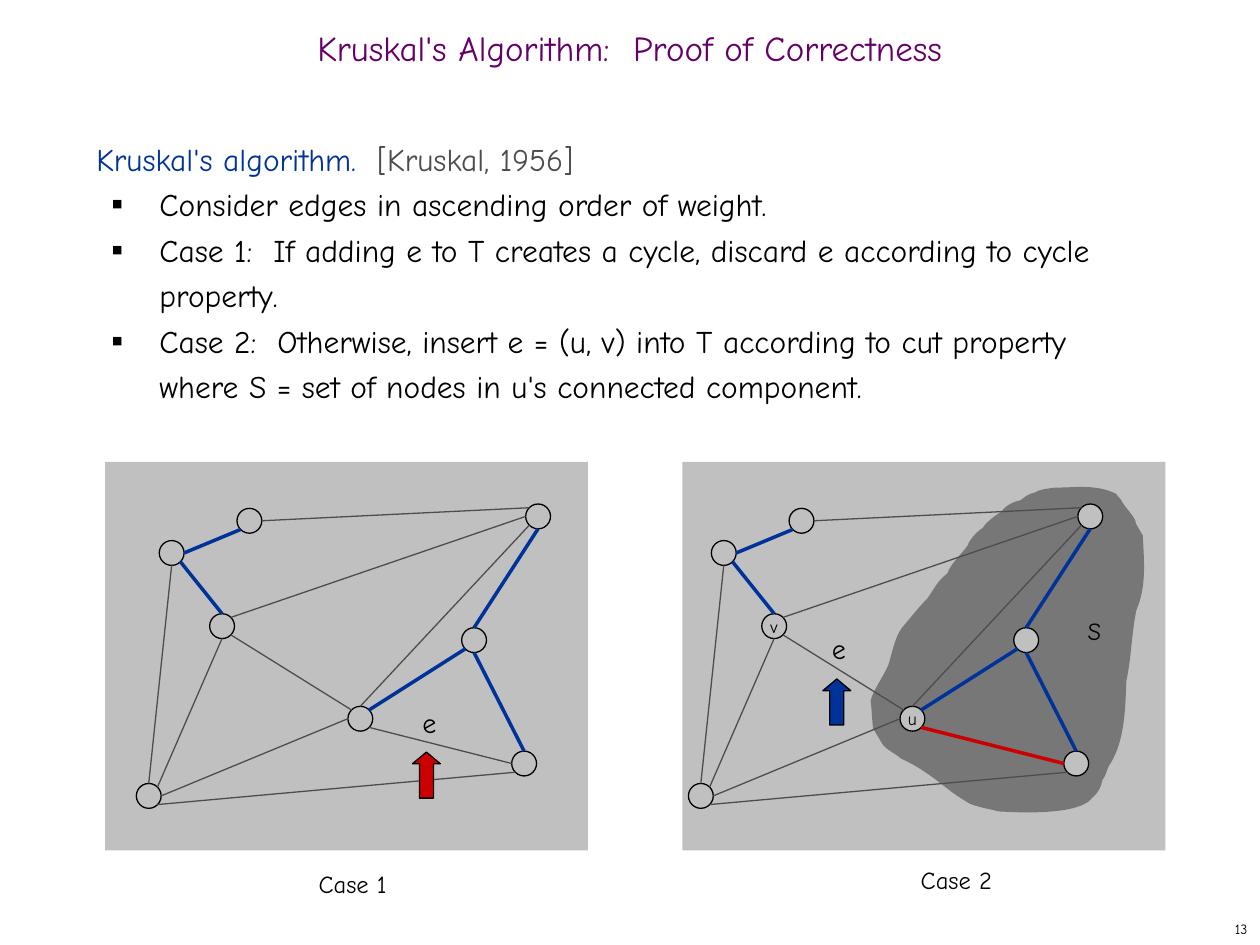
from typing import NamedTuple

from lxml.etree import SubElement
from pptx import Presentation
from pptx.dml.color import RGBColor
from pptx.enum.shapes import MSO_CONNECTOR, MSO_SHAPE
from pptx.enum.text import MSO_ANCHOR, PP_ALIGN
from pptx.oxml.ns import qn
from pptx.util import Pt

FONT = "Comic Neue"
BLACK = RGBColor(0x00, 0x00, 0x00)
BLUE = RGBColor(0x00, 0x33, 0x99)
RED = RGBColor(0xCC, 0x00, 0x00)
GREY = RGBColor(0x4D, 0x4D, 0x4D)
PALE = RGBColor(0xC0, 0xC0, 0xC0)
DARK = RGBColor(0x77, 0x77, 0x77)
PURPLE = RGBColor(0x66, 0x00, 0x66)

SIZE = 14.2  # node diameter
SHIFT = 315.5  # from the graph of case 1 to that of case 2
STEP = {"N": (0, -1), "S": (0, 1), "W": (-1, 0), "E": (1, 0),
        "NW": (-0.7, -0.7), "NE": (0.7, -0.7),
        "SW": (-0.7, 0.7), "SE": (0.7, 0.7)}


class Edge(NamedTuple):
    """Two nodes, each with the side of its circle that the edge meets."""
    start: str
    out: str
    end: str
    into: str
    tree: bool = False


class Label(NamedTuple):
    text: str
    left: float
    top: float
    size: float


class Case(NamedTuple):
    panel: float
    shift: float
    mark: RGBColor  # colour of the arrow that points at e
    arrow: tuple[float, float]
    title: Label
    labels: list[Label]
    names: dict[str, str]
    cut: RGBColor  # colour of the edge from u to the low right node


NODES = {"left": (98.1, 316), "top": (142.5, 297.6), "v": (126.9, 357.8),
         "low": (85, 454.8), "right": (307.5, 295.1), "mid": (270.9, 365.8),
         "u": (205.9, 410.7), "end": (299.5, 436.3)}

EDGES = [
    Edge("left", "E", "top", "SW", True),
    Edge("left", "SE", "v", "N", True),
    Edge("left", "S", "low", "N"),
    Edge("v", "NE", "right", "W"),
    Edge("mid", "N", "right", "S", True),
    Edge("v", "SE", "u", "NW"),
    Edge("u", "SE", "end", "W"),
    Edge("u", "NE", "mid", "SW", True),
    Edge("mid", "S", "end", "N", True),
    Edge("right", "SW", "u", "N"),
    Edge("v", "S", "low", "NE"),
    Edge("low", "E", "u", "W"),
    Edge("top", "E", "right", "NW"),
    Edge("low", "SE", "end", "SW"),
]

CASES = [
    Case(60, 0, RED, (235.7, 429.8), Label("Case 1", 136, 491.8, 14),
         [Label("e", 234.3, 399.6, 16)], {}, GREY),
    Case(390, SHIFT, BLUE, (470.2, 388), Label("Case 2", 481, 489.6, 14),
         [Label("e", 468.3, 357.5, 16), Label("S", 614.4, 348.5, 14)],
         {"u": "u", "v": "v"}, RED),
]

# Outline of S in units of 0.72 points: a start, then three points a curve
UNIT = Pt(0.72)
START = (705, 528)
CURVES = [
    (708, 519), (710, 506), (716, 498), (723, 490), (729, 482), (736, 475),
    (741, 468), (744, 461), (752, 455), (754, 448), (763, 440), (768, 433),
    (769, 429), (775, 422), (780, 419), (783, 414), (790, 409), (795, 406),
    (798, 401), (805, 398), (810, 397), (814, 394), (816, 392), (821, 391),
    (826, 388), (831, 388), (837, 387), (854, 387), (870, 384), (886, 392),
    (892, 402), (882, 387), (890, 397), (890, 397), (890, 398), (891, 399),
    (894, 404), (898, 407), (901, 413), (901, 415), (902, 417), (903, 418),
    (904, 420), (907, 425), (907, 425), (908, 446), (910, 465), (902, 484),
    (898, 502), (898, 522), (894, 540), (893, 562), (893, 589), (880, 608),
    (878, 612), (878, 615), (875, 619), (874, 624), (872, 629), (867, 633),
    (856, 649), (796, 644), (793, 644), (785, 642), (778, 641), (770, 638),
    (765, 635), (760, 632), (756, 629), (743, 619), (731, 609), (715, 602),
    (711, 598), (703, 595), (700, 590), (698, 586), (695, 582), (693, 578),
    (692, 571), (692, 564), (691, 556), (693, 548), (701, 537), START]

POINTS = [
    "Consider edges in ascending order of weight.",
    "Case 1:  If adding e to T creates a cycle, discard e according to "
    "cycle property.",
    "Case 2:  Otherwise, insert e = (u, v) into T according to cut property "
    "where S = set of nodes in u's connected component.",
]


def write(para, text: str, size: float, color: RGBColor = BLACK) -> None:
    run = para.add_run()
    run.text = text
    run.font.name, run.font.size = FONT, Pt(size)
    run.font.color.rgb = color


def paint(shape, fill: RGBColor, edged: bool = True) -> None:
    shape.shadow.inherit = False
    shape.fill.solid()
    shape.fill.fore_color.rgb = fill
    if edged:
        shape.line.color.rgb, shape.line.width = BLACK, Pt(0.75)
    else:
        shape.line.fill.background()


def add_shape(slide, kind, left, top, width, height, fill, edged=True):
    shape = slide.shapes.add_shape(kind, Pt(left), Pt(top), Pt(width), Pt(height))
    paint(shape, fill, edged)
    return shape


def add_label(slide, label: Label, width: float, height: float,
              align=PP_ALIGN.LEFT, anchor=MSO_ANCHOR.TOP) -> None:
    box = slide.shapes.add_textbox(Pt(label.left), Pt(label.top), Pt(width), Pt(height))
    frame = box.text_frame
    frame.word_wrap, frame.vertical_anchor = False, anchor
    frame.paragraphs[0].alignment = align
    write(frame.paragraphs[0], label.text, label.size)


def add_line(slide, start, end, color: RGBColor, width: float) -> None:
    line = slide.shapes.add_connector(
        MSO_CONNECTOR.STRAIGHT, *(Pt(n) for n in (*start, *end)))
    line.line.color.rgb, line.line.width = color, Pt(width)
    SubElement(line._element.spPr, qn("a:effectLst"))


def rim(node: str, side: str, shift: float) -> tuple[float, float]:
    """Give the point on one side of a node's circle."""
    (x, y), (dx, dy) = NODES[node], STEP[side]
    return x + shift + dx * SIZE / 2, y + dy * SIZE / 2


def add_blob(slide) -> None:
    """Draw S: lines through all points, then each three made one curve."""
    pen = slide.shapes.build_freeform(*START, scale=UNIT)
    pen.add_line_segments(CURVES, close=True)
    blob = pen.convert_to_shape()
    lines = list(blob._element.iter(qn("a:lnTo")))
    for i in range(0, len(CURVES), 3):
        curve = lines[i]
        curve.tag = qn("a:cubicBezTo")
        for line in lines[i + 1:i + 3]:
            curve.append(line[0])
            line.getparent().remove(line)
    paint(blob, DARK, False)


def add_graph(slide, case: Case) -> None:
    for key, (x, y) in NODES.items():
        node = add_shape(slide, MSO_SHAPE.OVAL, x + case.shift - SIZE / 2,
                         y - SIZE / 2, SIZE, SIZE, PALE)
        if key in case.names:
            frame = node.text_frame
            frame.word_wrap, frame.vertical_anchor = False, MSO_ANCHOR.MIDDLE
            frame.paragraphs[0].alignment = PP_ALIGN.CENTER
            write(frame.paragraphs[0], case.names[key], 10)
    for edge in EDGES:
        color = BLUE if edge.tree else GREY
        if (edge.start, edge.end) == ("u", "end"):
            color = case.cut
        add_line(slide, rim(edge.start, edge.out, case.shift),
                 rim(edge.end, edge.into, case.shift), color,
                 0.75 if color == GREY else 2)
    arrow = add_shape(slide, MSO_SHAPE.UP_ARROW, *case.arrow, 16, 26.3, case.mark)
    arrow.adjustments[1] = 0.42
    add_label(slide, case.title, 131, 26, PP_ALIGN.CENTER, MSO_ANCHOR.MIDDLE)
    for label in case.labels:
        add_label(slide, label, 22.3, 26.6)


def indent(para, left: float, hang: float) -> None:
    para.line_spacing = Pt(26)
    props = para._p.get_or_add_pPr()
    props.set("marL", str(Pt(left)))
    props.set("indent", str(Pt(-hang)))


def add_body(slide) -> None:
    frame = slide.shapes.add_textbox(Pt(48), Pt(72), Pt(618), Pt(426)).text_frame
    frame.word_wrap = True
    head = frame.paragraphs[0]
    indent(head, 27, 27)
    write(head, "Kruskal's algorithm.  ", 18, BLUE)
    write(head, "[Kruskal, 1956]", 18, GREY)
    for text in POINTS:
        para = frame.add_paragraph()
        para.level = 1
        indent(para, 36, 27)
        props = para._p.get_or_add_pPr()
        tint = SubElement(props, qn("a:buClr"))
        SubElement(tint, qn("a:srgbClr"), val=str(BLACK))
        SubElement(props, qn("a:buSzPct"), val="35000")
        SubElement(props, qn("a:buFont"), typeface=FONT)
        SubElement(props, qn("a:buChar"), char="■")
        write(para, text, 18)


def main() -> None:
    deck = Presentation()
    deck.slide_width, deck.slide_height = Pt(720), Pt(540)
    slide = deck.slides.add_slide(deck.slide_layouts[5])
    title = slide.shapes.title
    title.left, title.top, title.width, title.height = Pt(0), Pt(12), Pt(720), Pt(36)
    title.text_frame.vertical_anchor = MSO_ANCHOR.MIDDLE
    para = title.text_frame.paragraphs[0]
    para.alignment, para.line_spacing = PP_ALIGN.CENTER, 0.7
    write(para, "Kruskal's Algorithm:  Proof of Correctness", 20, PURPLE)
    for case in CASES:
        add_shape(slide, MSO_SHAPE.RECTANGLE, case.panel, 264, 276, 222, PALE, False)
    add_body(slide)
    add_blob(slide)
    for case in CASES:
        add_graph(slide, case)
    add_label(slide, Label("13", 570, 522, 8), 150, 18,
              PP_ALIGN.RIGHT, MSO_ANCHOR.MIDDLE)
    deck.save("out.pptx")


if __name__ == "__main__":
    main()
